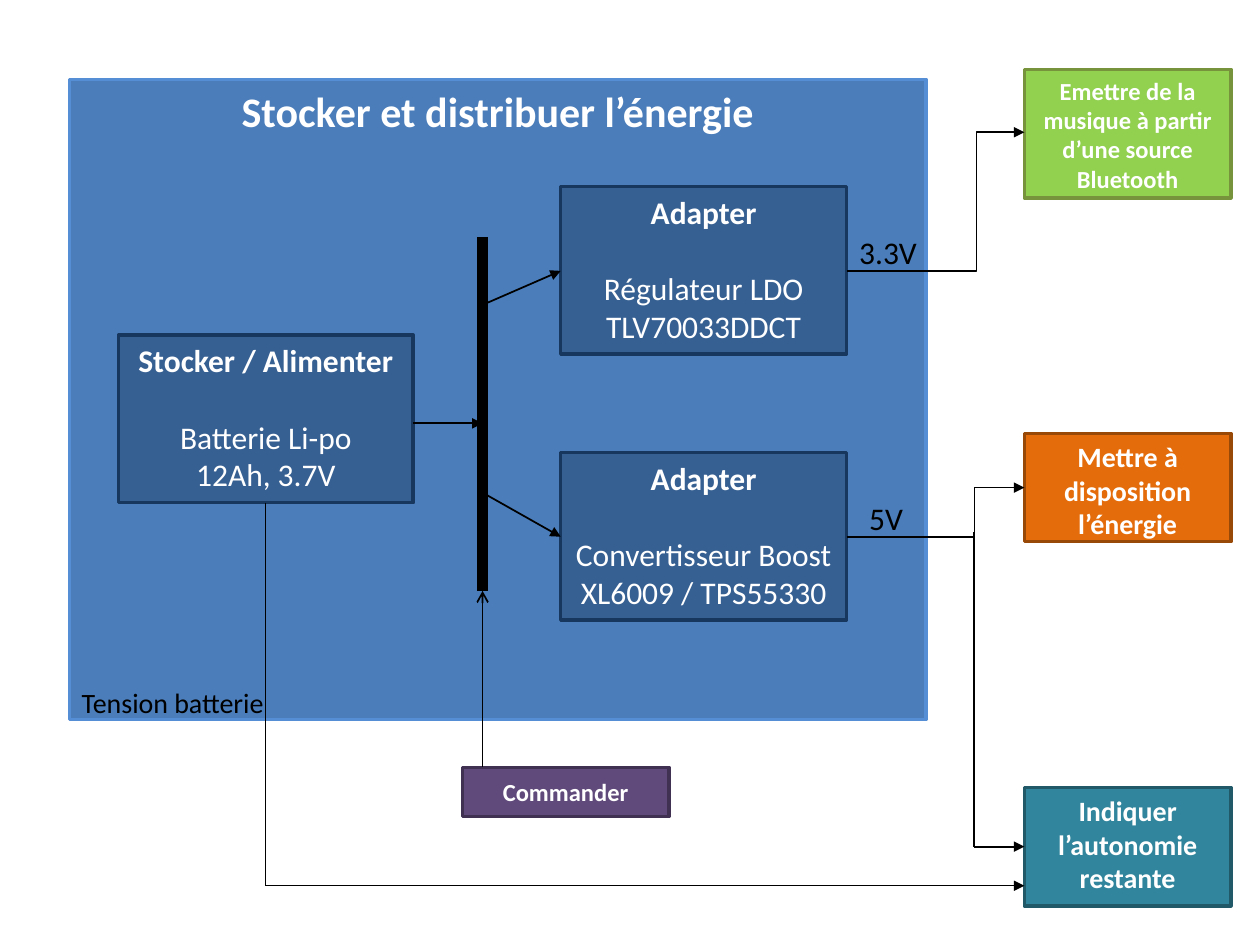
from lxml.etree import SubElement
from pptx import Presentation
from pptx.dml.color import RGBColor
from pptx.enum.shapes import MSO_CONNECTOR, MSO_SHAPE
from pptx.enum.text import MSO_ANCHOR, MSO_AUTO_SIZE, PP_ALIGN
from pptx.oxml.ns import qn
from pptx.util import Inches, Pt

WHITE = RGBColor(0xFF, 0xFF, 0xFF)
BLACK = RGBColor(0, 0, 0)
PANEL = RGBColor(0x4A, 0x7D, 0xBA)
RIM = RGBColor(0x55, 0x8E, 0xD5)
BLUE = RGBColor(0x37, 0x60, 0x92)
NAVY = RGBColor(0x17, 0x37, 0x5E)
GREEN = RGBColor(0x92, 0xD0, 0x50)
OLIVE = RGBColor(0x77, 0x93, 0x3C)
ORANGE = RGBColor(0xE4, 0x6C, 0x0A)
BROWN = RGBColor(0x98, 0x48, 0x07)
TEAL = RGBColor(0x31, 0x85, 0x9C)
DARK_TEAL = RGBColor(0x21, 0x59, 0x68)
PURPLE = RGBColor(0x60, 0x4A, 0x7B)
PLUM = RGBColor(0x40, 0x31, 0x52)


def style(box, lines, size, fill, rim, anchor=MSO_ANCHOR.TOP):
    box.fill.solid()
    box.fill.fore_color.rgb = fill
    box.line.color.rgb = rim
    box.line.width = Pt(2)
    frame = box.text_frame
    frame.text = "\n".join(lines)
    frame.word_wrap = True
    frame.auto_size = MSO_AUTO_SIZE.NONE
    frame.vertical_anchor = anchor
    for i, para in enumerate(frame.paragraphs):
        para.alignment = PP_ALIGN.CENTER
        para.font.name = "Calibri"
        para.font.size = Pt(size)
        para.font.bold = i == 0
        para.font.color.rgb = WHITE


def link(x1, y1, x2, y2, width=1, head=None, bend=None):
    kind = MSO_CONNECTOR.ELBOW if bend else MSO_CONNECTOR.STRAIGHT
    wire = shapes.add_connector(kind, Inches(x1), Inches(y1), Inches(x2), Inches(y2))
    wire.line.color.rgb = BLACK
    wire.line.width = Pt(width)
    props = wire._element.spPr
    if head:
        SubElement(wire.line._get_or_add_ln(), qn("a:tailEnd"), type=head)
    if bend:
        guides = props.find(qn("a:prstGeom")).get_or_add_avLst()
        SubElement(guides, qn("a:gd"), name="adj1", fmla=f"val {round(bend * 100000)}")
    SubElement(props, qn("a:effectLst"))


deck = Presentation()
deck.slide_width, deck.slide_height = Inches(10), Inches(7.5)
slide = deck.slides.add_slide(deck.slide_layouts[5])
shapes = slide.shapes

panel = shapes.title
panel.left, panel.top = Inches(0.55), Inches(0.63)
panel.width, panel.height = Inches(6.8), Inches(5.08)
style(panel, ["Stocker et distribuer l’énergie"], 24, PANEL, RIM)

TOP, MID = MSO_ANCHOR.TOP, MSO_ANCHOR.MIDDLE
boxes = [
    (0.94, 2.66, 2.34, 1.33, ["Stocker / Alimenter", "Batterie Li-po", "12Ah, 3.7V"], 18, BLUE, NAVY, TOP),
    (8.13, 0.55, 1.64, 1.02, ["Emettre de la musique à partir d’une source Bluetooth"], 14, GREEN, OLIVE, TOP),
    (8.13, 3.44, 1.64, 0.86, ["Mettre à disposition l’énergie"], 16, ORANGE, BROWN, TOP),
    (8.13, 6.25, 1.64, 0.94, ["Indiquer l’autonomie restante"], 16, TEAL, DARK_TEAL, TOP),
    (4.45, 3.59, 2.27, 1.33, ["Adapter", "Convertisseur Boost", "XL6009 / TPS55330"], 18, BLUE, NAVY, TOP),
    (4.45, 1.48, 2.27, 1.33, ["Adapter", "Régulateur LDO", "TLV70033DDCT"], 18, BLUE, NAVY, TOP),
    (3.67, 6.09, 1.64, 0.39, ["Commander"], 14, PURPLE, PLUM, MID),
]
for x, y, w, h, lines, size, fill, rim, anchor in boxes:
    box = shapes.add_shape(MSO_SHAPE.RECTANGLE, Inches(x), Inches(y), Inches(w), Inches(h))
    box.shadow.inherit = False
    style(box, lines, size, fill, rim, anchor)
    if len(lines) > 1:
        box.text_frame.paragraphs[0].space_after = Pt(22)

BUS = 3.83
link(BUS, 1.88, BUS, 4.69, 6)
link(3.28, 3.36, BUS, 3.36, head="triangle")
link(BUS, 2.42, 4.45, 2.15, head="triangle")
link(BUS, 3.91, 4.45, 4.26, head="triangle")
link(6.72, 2.15, 8.13, 1.05, head="triangle", bend=0.73)
link(6.72, 4.26, 8.13, 3.87, head="triangle", bend=0.72)
link(7.73, 4.22, 7.73, 6.72)
link(7.73, 6.72, 8.13, 6.72, head="triangle")
link(BUS, 6.09, BUS, 4.69, head="arrow")
link(2.11, 3.99, 2.11, 7.03, 0.75)
link(2.11, 7.03, 8.13, 7.03, 0.75, "triangle")

labels = [
    (6.72, 1.8, 0.78, 0.4, "3.3V", 18),
    (6.8, 3.91, 0.55, 0.4, "5V", 18),
    (0.55, 5.39, 1.95, 0.37, "Tension batterie", 16),
]
for x, y, w, h, text, size in labels:
    frame = shapes.add_textbox(Inches(x), Inches(y), Inches(w), Inches(h)).text_frame
    frame.text = text
    frame.word_wrap = True
    frame.auto_size = MSO_AUTO_SIZE.SHAPE_TO_FIT_TEXT
    font = frame.paragraphs[0].font
    font.name, font.size = "Calibri", Pt(size)
    font.color.rgb = BLACK

deck.save("out.pptx")
